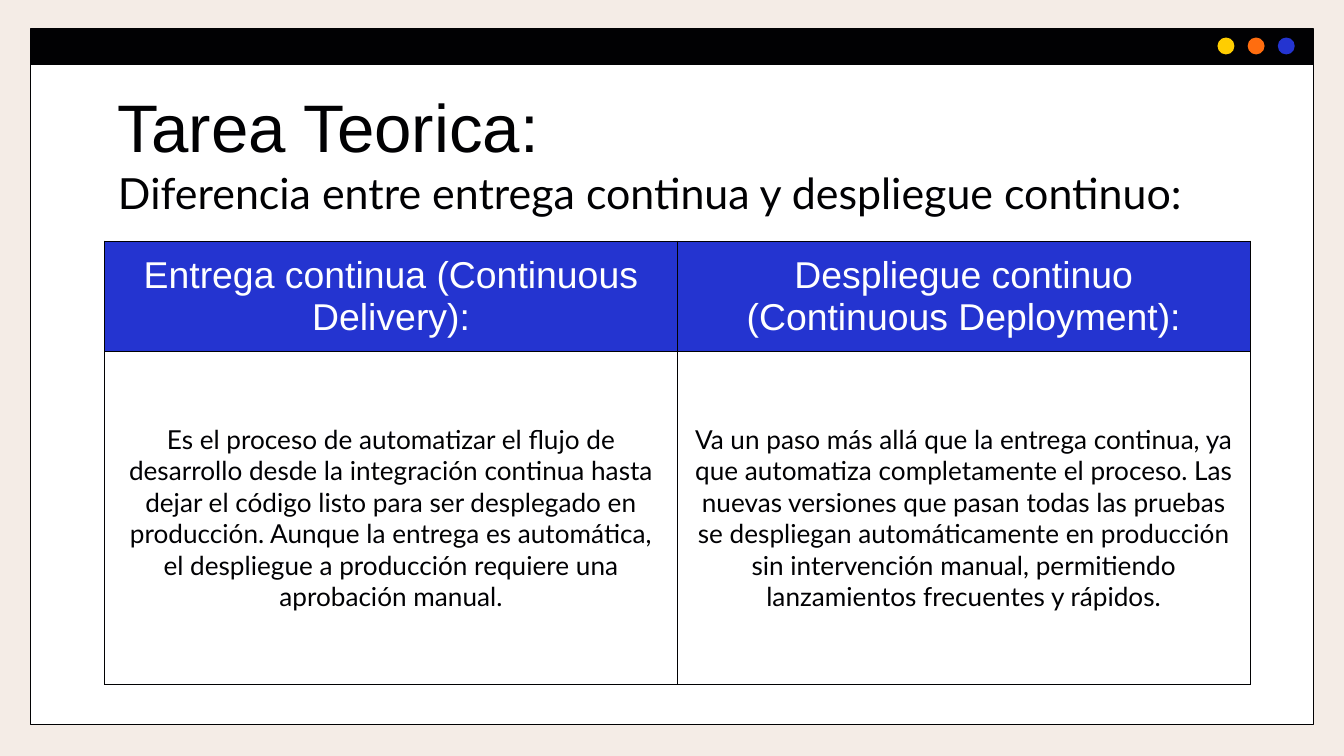
from copy import deepcopy
from lxml import etree
from pptx import Presentation
from pptx.dml.color import RGBColor
from pptx.enum.shapes import MSO_SHAPE
from pptx.enum.text import MSO_ANCHOR, MSO_AUTO_SIZE, PP_ALIGN
from pptx.oxml.ns import qn
from pptx.util import Cm, Pt

RECT, OVAL = MSO_SHAPE.RECTANGLE, MSO_SHAPE.OVAL
TOP, MID = MSO_ANCHOR.TOP, MSO_ANCHOR.MIDDLE
LEFT, CENTER = PP_ALIGN.LEFT, PP_ALIGN.CENTER
FIXED = MSO_AUTO_SIZE.NONE

HUES = {
    "page": "F4ECE6", "white": "FFFFFF", "ink": "010103",
    "blue": "2434D0", "orange": "FF6D0F", "yellow": "FFCD01",
}
TITLE = [
    ("Tarea Teorica:", "Arial", 36),
    ("Diferencia entre entrega continua y despliegue continuo:", "Lato", 23),
]
ROWS = [
    ("Entrega continua (Continuous Delivery):",
     "Despliegue continuo (Continuous Deployment):"),
    ("Es el proceso de automatizar el flujo de desarrollo desde la integración "
     "continua hasta dejar el código listo para ser desplegado en producción. "
     "Aunque la entrega es automática, el despliegue a producción requiere una "
     "aprobación manual.",
     "Va un paso más allá que la entrega continua, ya que automatiza "
     "completamente el proceso. Las nuevas versiones que pasan todas las pruebas "
     "se despliegan automáticamente en producción sin intervención manual, "
     "permitiendo lanzamientos frecuentes y rápidos."),
]
STYLES = [
    {"font": "Arial", "size": 20, "ink": "white", "fill": "blue", "pad": 0.25, "high": 2.08},
    {"font": "Lato", "size": 14, "ink": "ink", "fill": "white", "pad": 0.18, "high": 6.3},
]
DOTS = ["yellow", "orange", "blue"]
EDGE, WIDE = 0.58, 24.25
SIDE, SPAN = 1.98, 21.65


def hue(name):
    return RGBColor.from_string(HUES[name])


def paint(fill, name):
    fill.solid()
    fill.fore_color.rgb = hue(name)


def write(para, text, font, size, name):
    run = para.add_run()
    run.text = text
    run.font.name = font
    run.font.size = Pt(size)
    run.font.bold = False
    run.font.color.rgb = hue(name)
    return run


def draw(kind, box, name, line=None):
    shape = slide.shapes.add_shape(kind, *map(Cm, box))
    shape.shadow.inherit = False
    paint(shape.fill, name)
    if line:
        shape.line.color.rgb = hue(line)
        shape.line.width = Pt(0.75)
    else:
        shape.line.fill.background()


def frame(cell):
    props = cell._tc.get_or_add_tcPr()
    for side in ("lnL", "lnR", "lnT", "lnB"):
        line = etree.SubElement(props, qn("a:" + side), w=str(Pt(0.75)))
        fill = etree.SubElement(line, qn("a:solidFill"))
        etree.SubElement(fill, qn("a:srgbClr"), val=HUES["ink"])


deck = Presentation()
deck.slide_width, deck.slide_height = Cm(25.4), Cm(14.29)
slide = deck.slides.add_slide(deck.slide_layouts[5])
paint(slide.background.fill, "page")

draw(RECT, (EDGE, 1.22, WIDE, 12.48), "white", "ink")
draw(RECT, (EDGE, 0.55, WIDE, 0.67), "ink", "ink")
for i, name in enumerate(DOTS):
    draw(OVAL, (23.01 + 0.57 * i, 0.71, 0.32, 0.32), name)

title = slide.shapes.title
slide.shapes._spTree.append(title._element)
title.left, title.top, title.width, title.height = map(Cm, (SIDE, 1.24, SPAN, 3.48))
body = title.text_frame
body.auto_size, body.word_wrap, body.vertical_anchor = FIXED, True, TOP
body.margin_left = body.margin_right = body.margin_bottom = Cm(0.25)
body.margin_top = Cm(0.38)
para = body.paragraphs[0]
para.alignment = LEFT
for i, (text, font, size) in enumerate(TITLE):
    if i:
        para.add_line_break()
        para._p[-1].append(deepcopy(run._r.rPr))
    run = write(para, text, font, size, "ink")

high = sum(style["high"] for style in STYLES)
grid = slide.shapes.add_table(2, 2, *map(Cm, (SIDE, 4.56, SPAN, high))).table
for col in grid.columns:
    col.width = Cm(SPAN / 2)
for r, (texts, style) in enumerate(zip(ROWS, STYLES)):
    grid.rows[r].height = Cm(style["high"])
    for c, text in enumerate(texts):
        cell = grid.cell(r, c)
        frame(cell)
        paint(cell.fill, style["fill"])
        cell.vertical_anchor = MID
        cell.margin_left = cell.margin_right = Cm(0.25)
        cell.margin_top = cell.margin_bottom = Cm(style["pad"])
        para = cell.text_frame.paragraphs[0]
        para.alignment = CENTER
        write(para, text, style["font"], style["size"], style["ink"])

deck.save("out.pptx")
